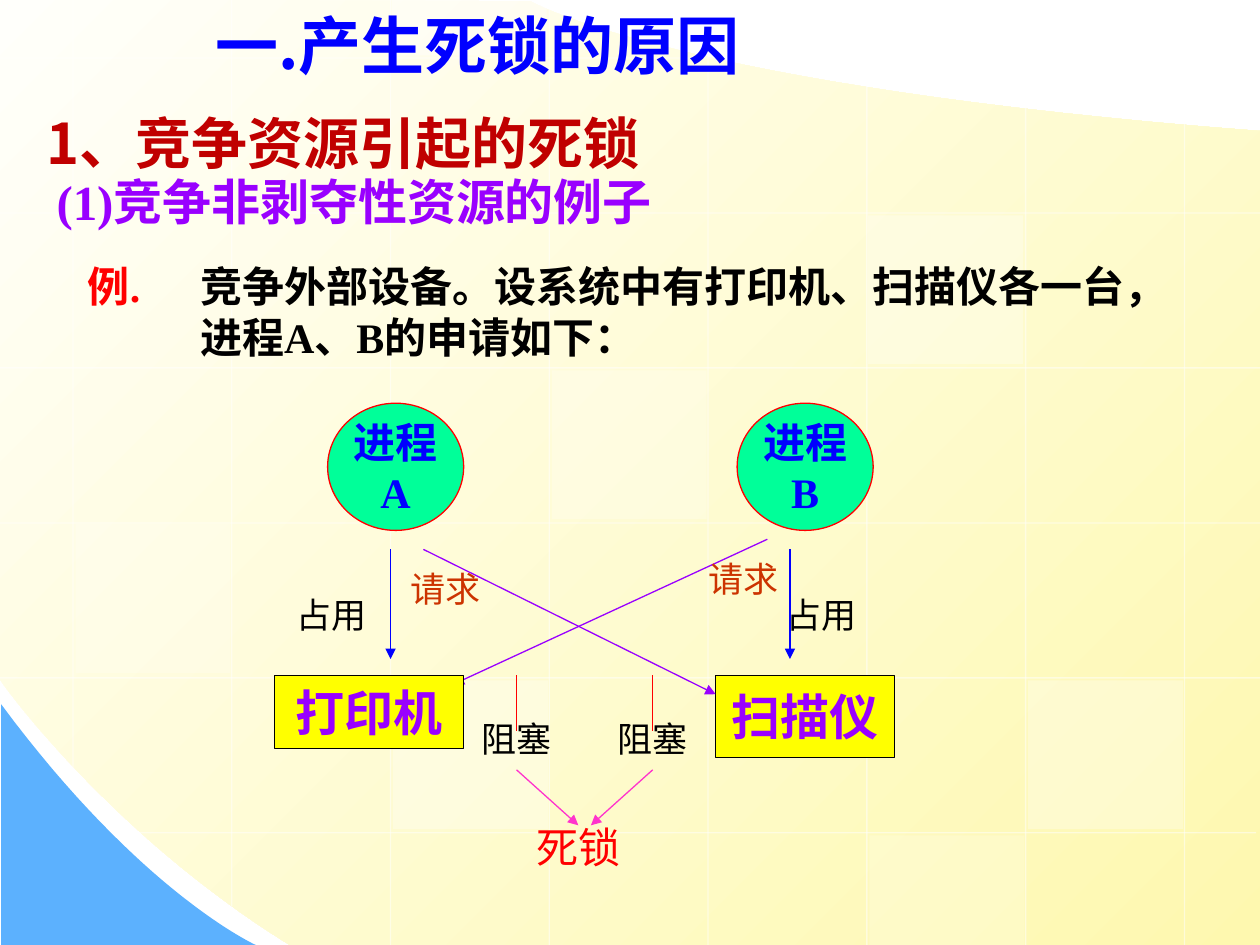
from dataclasses import dataclass

from lxml.etree import SubElement
from pptx import Presentation
from pptx.dml.color import RGBColor
from pptx.enum.shapes import MSO_CONNECTOR as Link, MSO_SHAPE as Kind
from pptx.enum.text import MSO_ANCHOR as Anchor, MSO_AUTO_SIZE as Fit, PP_ALIGN as Align
from pptx.oxml.ns import qn
from pptx.util import Inches, Pt

HEX = {
    "white": "FFFFFF", "cream": "FFFFFB", "sand": "FEF8AF", "sky": "5CB1FE",
    "black": "000000", "red": "FF0000", "brick": "C00000", "rust": "CC3300",
    "blue": "0000FF", "purple": "9900FF", "pink": "FF33CC",
    "yellow": "FFFF00", "mint": "00FF99",
}
TIMES, NOTO = "Times New Roman", "Noto Sans CJK SC"


@dataclass
class Tile:
    box: tuple
    alpha: int


@dataclass
class Node:
    kind: Kind
    box: tuple
    text: str
    fill: str
    line: str
    ink: str
    size: int


@dataclass
class Edge:
    start: tuple
    end: tuple
    color: str
    arrow: bool = True


@dataclass
class Label:
    box: tuple
    text: str
    color: str = "black"
    size: int = 20


def rgb(name: str) -> RGBColor:
    return RGBColor.from_string(HEX[name])


def fade(owner, alpha: int) -> None:
    """Set the opacity, in percent, of the solid fill below an element."""
    color = next(owner.iter(qn("a:srgbClr")))
    SubElement(color, qn("a:alpha")).set("val", str(alpha * 1000))


def write(shape, text: str, *, size: int, color: str, font: str = TIMES, bold: bool = False,
          align=Align.CENTER, anchor=Anchor.MIDDLE, wrap: bool = False, space: float = 1.0):
    """Fill a shape with text, one paragraph per line."""
    frame = shape.text_frame
    frame.text = text
    frame.word_wrap, frame.auto_size, frame.vertical_anchor = wrap, Fit.NONE, anchor
    for para in frame.paragraphs:
        para.alignment, para.line_spacing = align, space
        for run in para.runs:
            run.font.name, run.font.size, run.font.bold = font, Pt(size), bold
            run.font.color.rgb = rgb(color)
    return frame


def add_box(slide, box: tuple):
    return slide.shapes.add_textbox(*map(Inches, box))


def add_form(slide, kind: Kind, box: tuple, fill: str, line: str | None = None):
    shape = slide.shapes.add_shape(kind, *map(Inches, box))
    shape.shadow.inherit = False
    shape.fill.solid()
    shape.fill.fore_color.rgb = rgb(fill)
    if line:
        shape.line.color.rgb, shape.line.width = rgb(line), Pt(0.75)
    else:
        shape.line.fill.background()
    return shape


def add_edge(slide, edge: Edge):
    link = slide.shapes.add_connector(Link.STRAIGHT, *map(Inches, edge.start + edge.end))
    link.line.color.rgb, link.line.width = rgb(edge.color), Pt(0.75)
    if edge.arrow:
        SubElement(link.line._get_or_add_ln(), qn("a:tailEnd")).set("type", "triangle")
    SubElement(link.element.spPr, qn("a:effectLst"))
    return link


def add_node(slide, node: Node) -> None:
    shape = add_form(slide, node.kind, node.box, node.fill, node.line)
    write(shape, node.text, size=node.size, color=node.ink, bold=True)


def curve(a: tuple, b: tuple, c: tuple, d: tuple, steps: int = 32) -> list:
    """Points along a cubic curve from a to d."""
    points = []
    for i in range(steps + 1):
        t = i / steps
        u = 1 - t
        points.append(tuple(u**3 * p + 3 * u * u * t * q + 3 * u * t * t * r + t**3 * s
                            for p, q, r, s in zip(a, b, c, d)))
    return points


def add_path(slide, points: list):
    spots = [(Inches(x), Inches(y)) for x, y in points]
    pen = slide.shapes.build_freeform(*spots[0])
    pen.add_line_segments(spots[1:], close=True)
    shape = pen.convert_to_shape()
    shape.shadow.inherit = False
    shape.line.fill.background()
    return shape


def draw_back(slide) -> None:
    # Cream field with curved corners
    field = add_path(slide, [(10, 1.04), (10, 7.5)]
                     + curve((2.3, 7.5), (0.86, 6.61), (-0.01, 5.39), (0, 5.39))
                     + [(-0.01, -0.01)]
                     + curve((4.21, 0.01), (4.21, 0.01), (5.37, 0.69), (10, 1.04)))
    field.fill.gradient()
    field.fill.gradient_angle = 315
    for stop, name, spot in zip(field.fill.gradient_stops, ("cream", "sand"), (0, 1)):
        stop.color.rgb, stop.position = rgb(name), spot
    # Blue corner
    wedge = add_path(slide, [(0.01, 5.59), (0.01, 7.5)]
                     + curve((2.03, 7.5), (2.03, 7.5), (1.12, 7.09), (0.01, 5.59)))
    wedge.fill.solid()
    wedge.fill.fore_color.rgb = rgb("sky")
    # Grid lines, clipped by the field
    tops = (0, 0, 0, 0, 0.43, 0.68, 0.85, 0.98)
    ends = (6.09, 7.19) + (7.5,) * 6
    grid = [((0.58 + 1.26 * i, top), (0.58 + 1.26 * i, end))
            for i, (top, end) in enumerate(zip(tops, ends))]
    spans = [(0, 5.68)] + [(0, 10)] * 4 + [(1.11, 9.97)]
    grid += [((right, 0.46 + 1.23 * i), (left, 0.46 + 1.23 * i))
             for i, (left, right) in enumerate(spans)]
    for start, end in grid:
        fade(add_edge(slide, Edge(start, end, "white", False)).element, 50)
    # Pale tiles
    wide, high = 1.23, 1.18
    for tile in (Tile((4.38, 2.94, wide, high), 25), Tile((8.16, 5.4, wide, high), 30),
                 Tile((0.6, 4.16, wide, high), 20), Tile((6.9, 6.63, wide, 0.87), 20),
                 Tile((3.11, 0, wide, 0.44), 40), Tile((3.12, 5.4, wide, high), 30),
                 Tile((6.89, 1.71, wide, high), 30)):
        fade(add_form(slide, Kind.RECTANGLE, tile.box, "white").element.spPr, tile.alpha)


def draw_heads(slide) -> None:
    # Title, raised above the background
    title = slide.shapes.title
    title.element.getparent().append(title.element)
    title.left, title.top, title.width, title.height = map(Inches, (1.61, 0, 6.22, 0.71))
    left = dict(align=Align.LEFT, wrap=True, bold=True)
    write(title, "一.产生死锁的原因", size=36, color="blue", font=NOTO, **left)
    # Section headings
    left["anchor"] = Anchor.TOP
    write(add_box(slide, (0.27, 0.28, 5.59, 1.17)), "1、竞争资源引起的死锁",
          size=32, color="brick", font=NOTO, space=2.0, **left)
    write(add_box(slide, (0.35, 1.31, 7.32, 0.57)), "(1)竞争非剥夺性资源的例子",
          size=28, color="purple", **left)
    # Example with a hanging indent
    frame = write(add_box(slide, (0.6, 2.02, 8.57, 0.9)), "例.", size=24, color="red", **left)
    para = frame.paragraphs[0]
    props = para._p.get_or_add_pPr()
    props.set("marL", str(Inches(0.89)))
    props.set("indent", str(-Inches(0.89)))
    tab = SubElement(SubElement(props, qn("a:tabLst")), qn("a:tab"))
    tab.set("pos", str(Inches(0.74)))
    tab.set("algn", "l")
    run = para.add_run()
    run.text = "\t竞争外部设备。设系统中有打印机、扫描仪各一台，进程A、B的申请如下："
    run.font.name, run.font.size, run.font.bold = TIMES, Pt(24), True
    run.font.color.rgb = rgb("black")


def draw_graph(slide) -> None:
    # Processes and the scanner
    for name, x in (("A", 2.6), ("B", 5.85)):
        add_node(slide, Node(Kind.OVAL, (x, 3.2, 1.08, 1.01), f"进程\n{name}",
                             "mint", "red", "blue", 24))
    device = ("yellow", "black", "purple", 28)
    add_node(slide, Node(Kind.RECTANGLE, (5.68, 5.36, 1.42, 0.65), "扫描仪", *device))
    # Holds, requests, blocks and the deadlock
    edges = [Edge((x, 4.36), (x, 5.23), "blue") for x in (3.1, 6.27)]
    edges += [Edge((3.36, 4.36), (5.68, 5.51), "purple"),
              Edge((6.09, 4.28), (3.6, 5.43), "purple")]
    for x, tip in ((4.1, 4.59), (5.18, 4.69)):
        edges += [Edge((x, 5.36), (x, 5.8), "red", False),
                  Edge((x, 6.11), (tip, 6.55), "pink")]
    for edge in edges:
        add_edge(slide, edge)
    for label in (Label((2.35, 4.62, 0.56, 0.52), "占用"), Label((6.27, 4.62, 0.5, 0.52), "占用"),
                  Label((3.27, 4.44, 0.54, 0.46), "请求", "rust"),
                  Label((5.63, 4.36, 0.55, 0.46), "请求", "rust"),
                  Label((3.85, 5.65, 0.5, 0.43), "阻塞"), Label((4.93, 5.65, 0.5, 0.43), "阻塞"),
                  Label((4.3, 6.46, 0.59, 0.52), "死锁", "red", 24)):
        write(add_box(slide, label.box), label.text, size=label.size, color=label.color)
    # The printer covers the arrow tip
    add_node(slide, Node(Kind.RECTANGLE, (2.18, 5.36, 1.5, 0.58), "打印机", *device))


def main() -> None:
    deck = Presentation()
    deck.slide_width, deck.slide_height = Inches(10), Inches(7.5)
    slide = deck.slides.add_slide(deck.slide_layouts[5])
    draw_back(slide)
    draw_heads(slide)
    draw_graph(slide)
    deck.save("out.pptx")


if __name__ == "__main__":
    main()
